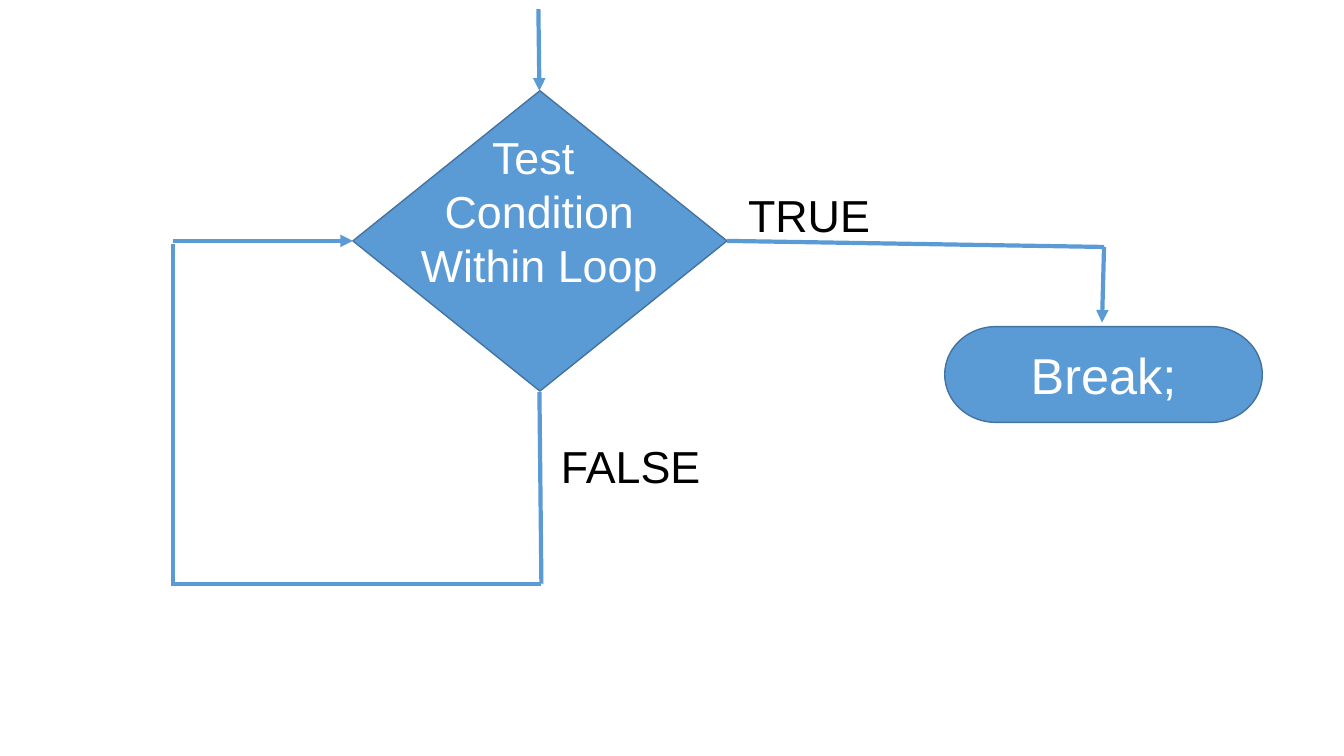
from pptx import Presentation
from pptx.dml.color import RGBColor
from pptx.enum.shapes import MSO_CONNECTOR, MSO_SHAPE
from pptx.enum.text import MSO_ANCHOR, PP_ALIGN
from pptx.oxml.ns import qn
from pptx.util import Inches, Pt
from lxml import etree

COLORS = {"blue": "5B9BD5", "outline": "43739E", "black": "000000", "white": "FFFFFF"}

prs = Presentation()
prs.slide_width, prs.slide_height = Inches(13.33), Inches(7.5)
s = prs.slides.add_slide(prs.slide_layouts[6])


def write(sp, text, size=32, color="black", anchor=MSO_ANCHOR.TOP):
    tf = sp.text_frame
    tf.word_wrap = True
    tf.vertical_anchor = anchor
    p = tf.paragraphs[0]
    p.text = text
    p.alignment = PP_ALIGN.CENTER
    for r in p.runs:
        r.font.name, r.font.size = "Arial", Pt(size)
        r.font.color.rgb = RGBColor.from_string(COLORS[color])


# Decision and break nodes
for kind, box, text in [
    (MSO_SHAPE.FLOWCHART_DECISION, (3.5, 0.9, 3.71, 2.98), None),
    (MSO_SHAPE.FLOWCHART_TERMINATOR, (9.37, 3.24, 3.15, 0.95), "Break;"),
]:
    sp = s.shapes.add_shape(kind, *map(Inches, box))
    sp.shadow.inherit = False
    sp.fill.solid()
    sp.fill.fore_color.rgb = RGBColor.from_string(COLORS["blue"])
    sp.line.color.rgb = RGBColor.from_string(COLORS["outline"])
    sp.line.width = Pt(1)
    if text:
        write(sp, text, size=36, color="white", anchor=MSO_ANCHOR.MIDDLE)

# Flow lines: start, end, arrowhead
for start, end, arrow in [
    ((5.34, 0.09), (5.35, 0.9), True),  # entry
    ((7.21, 2.39), (10.95, 2.45), False),  # true branch
    ((10.95, 2.45), (10.93, 3.2), True),
    ((5.35, 3.89), (5.37, 5.79), False),  # false branch
    ((1.7, 5.79), (5.37, 5.79), False),
    ((1.72, 2.42), (1.72, 5.79), False),
    ((1.72, 2.39), (3.5, 2.39), True),  # back to the condition
]:
    line = s.shapes.add_connector(MSO_CONNECTOR.STRAIGHT, *map(Inches, start + end))
    line.line.color.rgb = RGBColor.from_string(COLORS["blue"])
    line.line.width = Pt(3)
    if arrow:
        etree.SubElement(line.get_or_add_ln(), qn("a:tailEnd"), type="triangle")
    etree.SubElement(line._element.spPr, qn("a:effectLst"))

# Condition text and branch labels
for text, box, color in [
    ("Test \nCondition\nWithin Loop", (2.9, 1.24, 4.9, 1.72), "white"),
    ("TRUE", (7.21, 1.81, 1.63, 0.64), "black"),
    ("FALSE", (5.3, 4.3, 1.91, 0.64), "black"),
]:
    write(s.shapes.add_textbox(*map(Inches, box)), text, color=color)

prs.save("out.pptx")
